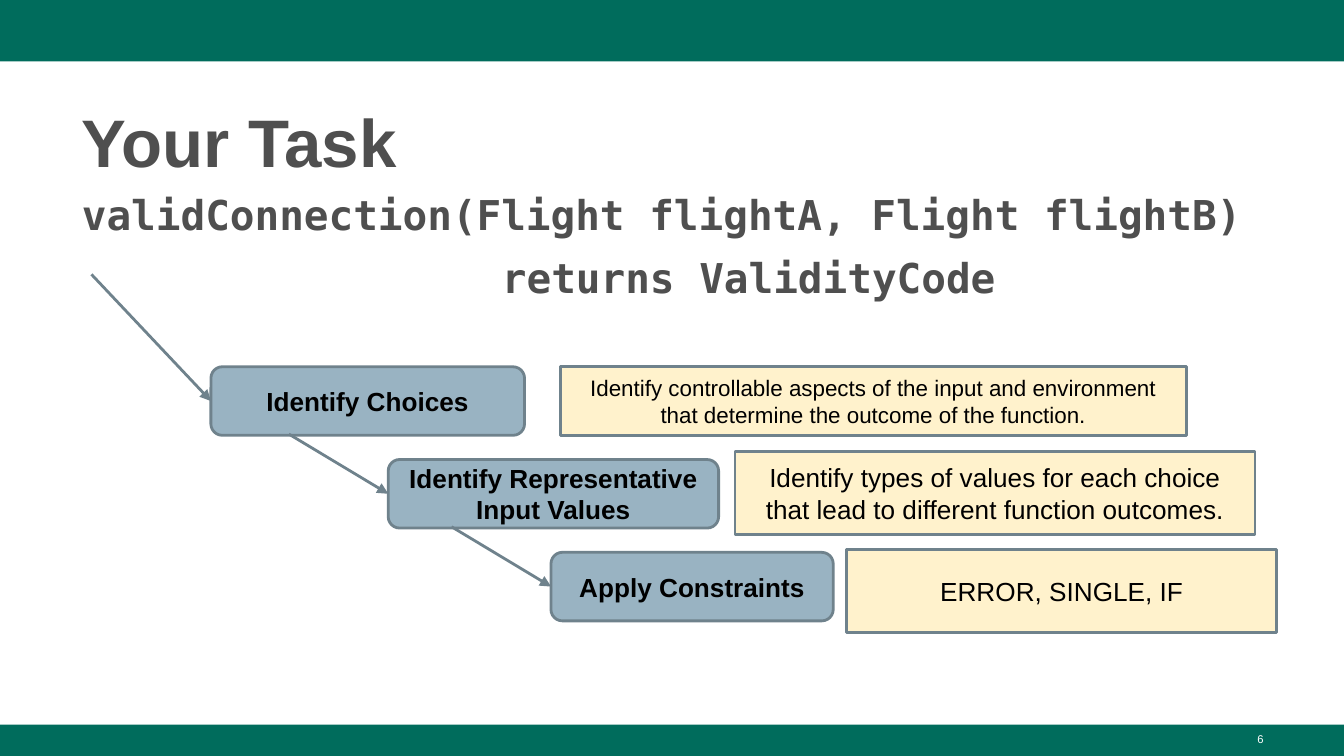
from pptx import Presentation
from pptx.dml.color import RGBColor
from pptx.enum.shapes import MSO_CONNECTOR, MSO_SHAPE
from pptx.enum.text import MSO_ANCHOR, MSO_AUTO_SIZE, PP_ALIGN
from pptx.oxml.ns import qn
from pptx.util import Pt
from lxml.etree import SubElement

GREEN, GREY, OUTLINE = "006C5C", "4F4F4F", "6F828C"
STEP_FILL, NOTE_FILL = "99B3C2", "FFF2CC"
STEP_TOP, STEP_PITCH, STEP_HEIGHT = 196.5, 49.7, 36.7

STEPS = [
    ("Identify Choices", 113, 168, (49, 147)),
    ("Identify Representative Input Values", 208, 177, (154.8, 232.6)),
    ("Apply Constraints", 295.2, 151.2, (241.9, 282.2)),
]
NOTES = [
    ("Identify controllable aspects of the input and environment that determine "
     "the outcome of the function.", 12, (300.2, 196.5, 335.5, 36.7)),
    ("Identify types of values for each choice that lead to different function "
     "outcomes.", 14, (393.8, 241.9, 278.6, 44.6)),
    ("ERROR, SINGLE, IF", 14, (453.6, 294.5, 230.4, 44.6)),
]


def color(value):
    return RGBColor.from_string(value)


def place(shape, left, top, width, height):
    shape.left, shape.top = Pt(left), Pt(top)
    shape.width, shape.height = Pt(width), Pt(height)


def write(paragraph, text, size, fill="000000", bold=False, font="Arial",
          align=PP_ALIGN.LEFT, line_spacing=1.0, space_before=0, indent=0):
    properties = paragraph._p.get_or_add_pPr()
    properties.set("marL", str(Pt(indent)))
    properties.set("indent", "0")
    SubElement(properties, qn("a:buNone"))
    paragraph.alignment = align
    paragraph.line_spacing = line_spacing
    paragraph.space_before = Pt(space_before)
    run = paragraph.add_run()
    run.text = text
    run.font.name = font
    run.font.size = Pt(size)
    run.font.bold = bold
    run.font.color.rgb = color(fill)


def prepare_frame(shape, anchor, vertical_margin=3.6):
    frame = shape.text_frame
    frame.word_wrap = True
    frame.auto_size = MSO_AUTO_SIZE.NONE
    frame.vertical_anchor = anchor
    frame.margin_left = frame.margin_right = Pt(7.2)
    frame.margin_top = frame.margin_bottom = Pt(vertical_margin)
    return frame


def add_block(slide, kind, box, fill, outline=None):
    shape = slide.shapes.add_shape(kind, *[Pt(length) for length in box])
    shape.shadow.inherit = False
    shape.fill.solid()
    shape.fill.fore_color.rgb = color(fill)
    if outline:
        shape.line.color.rgb = color(outline)
        shape.line.width = Pt(1.5)
    else:
        shape.line.fill.background()
    return shape


def add_label_box(slide, kind, box, fill, text, size, bold=False):
    shape = add_block(slide, kind, box, fill, OUTLINE)
    frame = prepare_frame(shape, MSO_ANCHOR.MIDDLE, 7.2)
    write(frame.paragraphs[0], text, size, bold=bold, align=PP_ALIGN.CENTER)
    return shape


def add_arrow(slide, start, target):
    left, top = [Pt(length) for length in start]
    arrow = slide.shapes.add_connector(
        MSO_CONNECTOR.STRAIGHT, left, top, target.left, target.top)
    arrow.end_connect(target, 1)
    arrow.line.color.rgb = color(OUTLINE)
    arrow.line.width = Pt(1.5)
    SubElement(arrow.line._get_or_add_ln(), qn("a:tailEnd"), type="triangle")
    SubElement(arrow._element.spPr, qn("a:effectLst"))


def add_heading(slide):
    title, body = slide.shapes.title, slide.placeholders[1]
    place(title, 36.7, 48.2, 647.3, 52.6)
    frame = prepare_frame(title, MSO_ANCHOR.BOTTOM)
    write(frame.paragraphs[0], "Your Task", 36, GREY, bold=True, line_spacing=1.08)

    place(body, 36.7, 100.8, 647.3, 274.3)
    frame = prepare_frame(body, MSO_ANCHOR.TOP)
    code = dict(size=22, fill=GREY, bold=True, font="DejaVu Sans Mono", line_spacing=0.9)
    write(frame.paragraphs[0], "validConnection(Flight flightA, Flight flightB)", **code)
    write(frame.add_paragraph(), "returns ValidityCode", space_before=10, indent=225, **code)


def add_page_number(slide):
    box = slide.shapes.add_textbox(Pt(516.2), Pt(388.8), Pt(167.8), Pt(16.6))
    frame = prepare_frame(box, MSO_ANCHOR.TOP)
    write(frame.paragraphs[0], "6", 6, "FFFFFF", align=PP_ALIGN.RIGHT)


def main():
    presentation = Presentation()
    presentation.slide_width, presentation.slide_height = Pt(720), Pt(405)
    slide = presentation.slides.add_slide(presentation.slide_layouts[1])

    add_block(slide, MSO_SHAPE.RECTANGLE, (0, 0, 720, 33), GREEN)
    add_block(slide, MSO_SHAPE.RECTANGLE, (0, 388.2, 720, 16.8), GREEN)
    add_heading(slide)
    add_page_number(slide)

    for index, (text, left, width, arrow_start) in enumerate(STEPS):
        box = (left, STEP_TOP + index * STEP_PITCH, width, STEP_HEIGHT)
        step = add_label_box(slide, MSO_SHAPE.ROUNDED_RECTANGLE, box, STEP_FILL,
                             text, 14, bold=True)
        add_arrow(slide, arrow_start, step)
    for text, size, box in NOTES:
        add_label_box(slide, MSO_SHAPE.RECTANGLE, box, NOTE_FILL, text, size)

    presentation.save("out.pptx")


if __name__ == "__main__":
    main()
